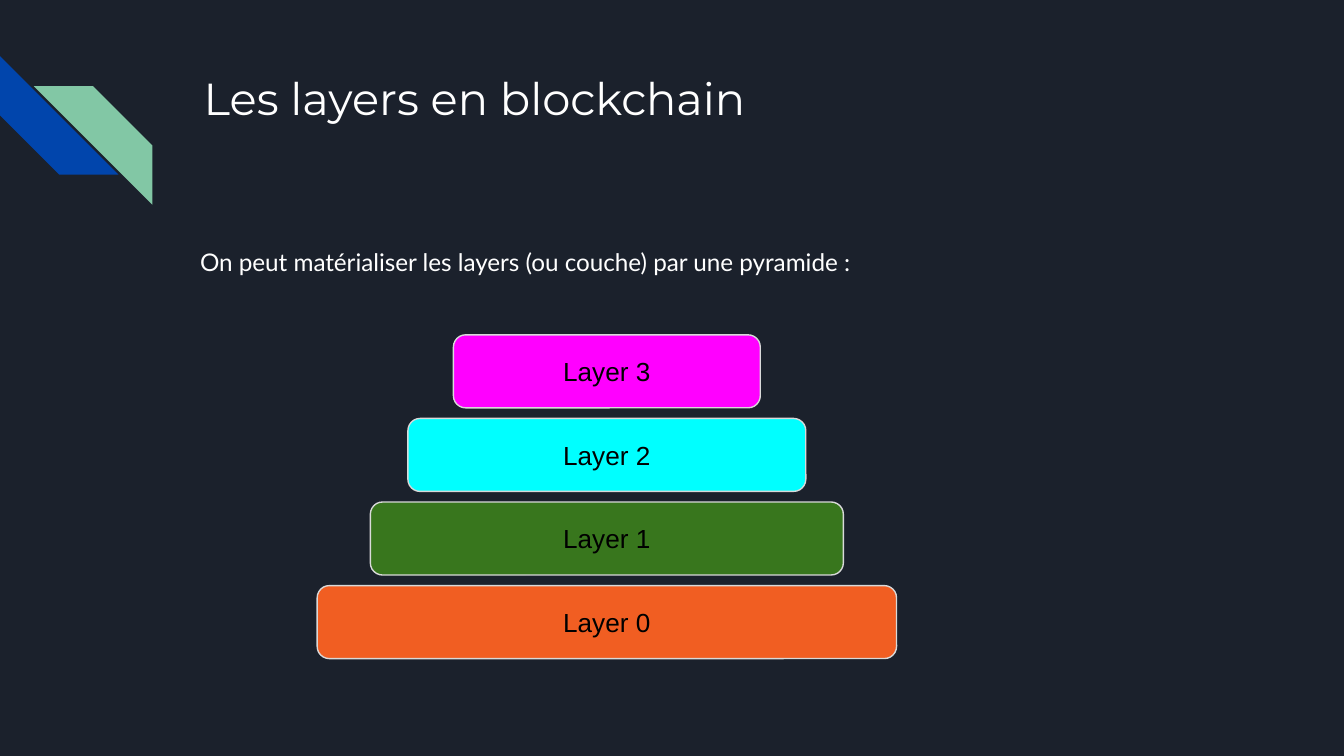
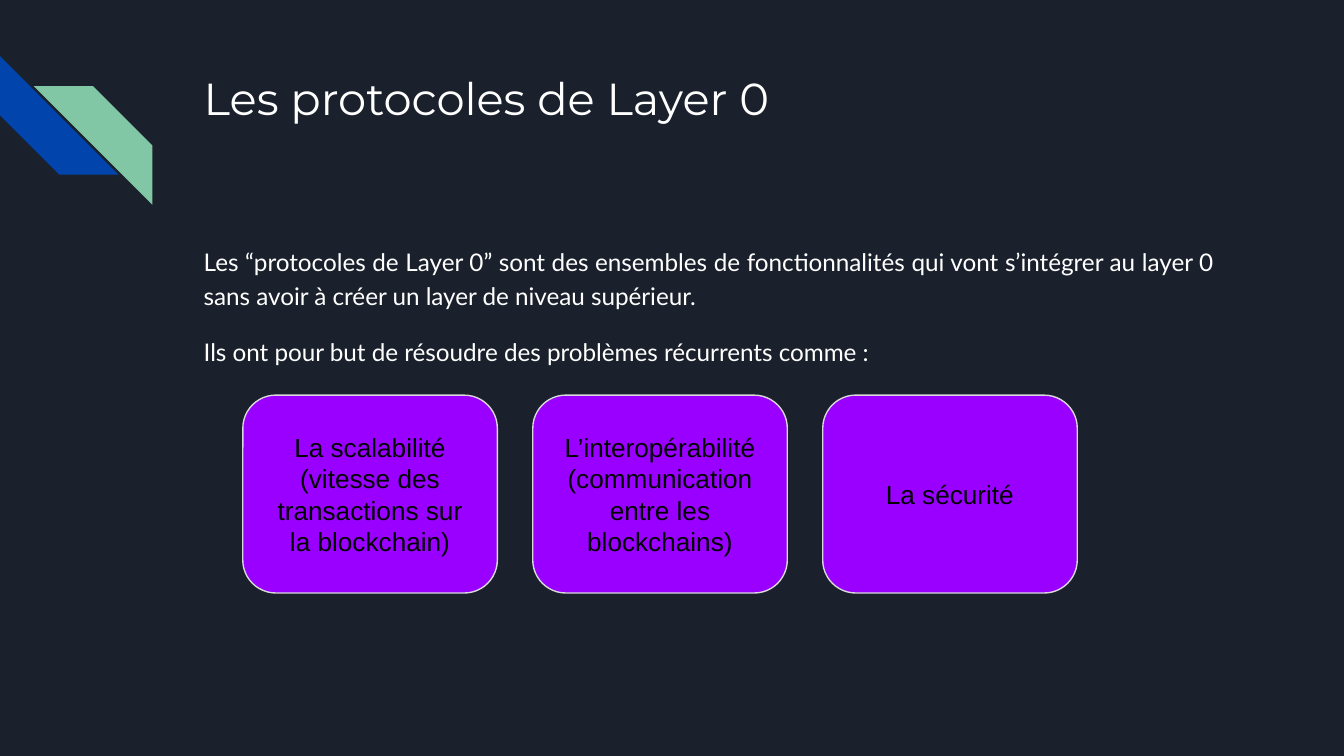
from dataclasses import dataclass

from pptx import Presentation
from pptx import util as u
from pptx.dml.color import RGBColor
from pptx.enum import shapes, text
from pptx.oxml import ns


@dataclass(frozen=True)
class Theme:
    background: str = "1B212C"
    blue: str = "0145AC"
    green: str = "82C7A5"
    light: str = "FFFFFF"
    dark: str = "000000"
    outline: str = "D9D9D9"
    card: str = "9900FF"
    layers: tuple = ("FF00FF", "00FFFF", "38761D", "F15E22")
    title_font: str = "Montserrat"
    body_font: str = "Lato"
    box_font: str = "Arial"
    title_size: int = 24
    body_size: int = 13
    box_size: int = 14


THEME = Theme()
ALIGN = text.PP_ALIGN
ANCHOR = text.MSO_ANCHOR
INSET = u.Cm(0.25)


def apply(target, values):
    for name, value in values.items():
        setattr(target, name, value)


def place(shape, left, top, width, height):
    sides = dict(left=left, top=top, width=width, height=height)
    apply(shape, {name: u.Cm(value) for name, value in sides.items()})


def paint(fill, color):
    fill.solid()
    fill.fore_color.rgb = RGBColor.from_string(color)


def write(shape, lines, font, size, color, align, anchor, **spacing):
    """Fill a shape with one plain paragraph per line."""
    frame = shape.text_frame
    apply(frame, dict(word_wrap=True, auto_size=text.MSO_AUTO_SIZE.NONE,
                      vertical_anchor=anchor, margin_left=INSET,
                      margin_right=INSET, margin_top=INSET,
                      margin_bottom=INSET))
    frame.text = "\n".join(lines)
    for number, para in enumerate(frame.paragraphs):
        props = para._p.get_or_add_pPr()
        apply(para, dict(alignment=align, space_before=u.Pt(0), **spacing))
        if number and shape.is_placeholder:
            apply(para, dict(space_before=u.Pt(12), space_after=u.Pt(12)))
        if shape.is_placeholder:
            props.set("marL", "0")
            props.set("indent", "0")
            props.append(props.makeelement(ns.qn("a:buNone"), {}))
        apply(para.font, dict(name=font, size=u.Pt(size)))
        para.font.color.rgb = RGBColor.from_string(color)


def add_preset(page, preset, color, *bounds):
    shape = page.shapes.add_shape(preset, 0, 0, 0, 0)
    place(shape, *bounds)
    shape.shadow.inherit = False
    paint(shape.fill, color)
    return shape


def add_box(page, lines, color, *bounds):
    box = add_preset(page, shapes.MSO_SHAPE.ROUNDED_RECTANGLE, color, *bounds)
    box.adjustments[0] = 0.167
    box.line.width = u.Pt(0.75)
    paint(box.line.fill, THEME.outline)
    write(box, lines, THEME.box_font, THEME.box_size, THEME.dark,
          ALIGN.CENTER, ANCHOR.MIDDLE)


def add_stripes(page):
    """Two diagonal bands in the upper left corner."""
    preset, side = shapes.MSO_SHAPE.DIAGONAL_STRIPE, 2.24
    lower = add_preset(page, preset, THEME.blue, 0, 1.06, side, side)
    lower.rotation = 270
    upper = add_preset(page, preset, THEME.green, 0.64, 1.63, side, side)
    upper.element.spPr.find(ns.qn("a:xfrm")).set("flipH", "1")
    for stripe in (lower, upper):
        stripe.adjustments[0] = 0.5
        stripe.line.fill.background()


def add_page(deck, title, lines, body_left, body_align):
    page = deck.slides.add_slide(deck.slide_layouts[1])
    paint(page.background.fill, THEME.background)
    add_stripes(page)
    heading, body = page.shapes.title, page.placeholders[1]
    place(heading, 3.6, 1.09, 19.57, 2.54)
    write(heading, [title], THEME.title_font, THEME.title_size, THEME.light,
          ALIGN.LEFT, ANCHOR.TOP)
    place(body, body_left, 4.35, 19.57, 8.07)
    write(body, lines, THEME.body_font, THEME.body_size, THEME.light,
          body_align, ANCHOR.TOP, line_spacing=1.15)
    return page


def add_pyramid(page, widths):
    """Stack centred layers, the highest one on top."""
    center, top, pitch, height = 11.47, 6.33, 1.58, 1.38
    for row, (width, color) in enumerate(zip(widths, THEME.layers)):
        level = len(widths) - 1 - row
        add_box(page, [f"Layer {level}"], color,
                center - width / 2, top + row * pitch, width, height)


def add_cards(page, cards):
    left, pitch = 4.59, 5.48
    for column, lines in enumerate(cards):
        add_box(page, lines, THEME.card, left + column * pitch, 7.47, 4.81, 3.74)


def main():
    deck = Presentation()
    apply(deck, dict(slide_width=u.Cm(25.4), slide_height=u.Cm(14.29)))

    # Layer pyramid
    page = add_page(
        deck, "Les layers en blockchain",
        ["On peut matérialiser les layers (ou couche) par une pyramide :"],
        3.53, ALIGN.LEFT)
    add_pyramid(page, (5.8, 7.52, 8.94, 10.95))

    # Layer 0 protocols
    page = add_page(
        deck, "Les protocoles de Layer 0",
        ["Les “protocoles de Layer 0” sont des ensembles de fonctionnalités "
         "qui vont s’intégrer au layer 0 sans avoir à créer un layer de "
         "niveau supérieur.",
         "Ils ont pour but de résoudre des problèmes récurrents comme :"],
        3.6, ALIGN.JUSTIFY)
    add_cards(page, (
        ["La scalabilité", "(vitesse des transactions sur la blockchain)"],
        ["L’interopérabilité", "(communication entre les blockchains)"],
        ["La sécurité"],
    ))

    deck.save("out.pptx")


if __name__ == "__main__":
    main()
